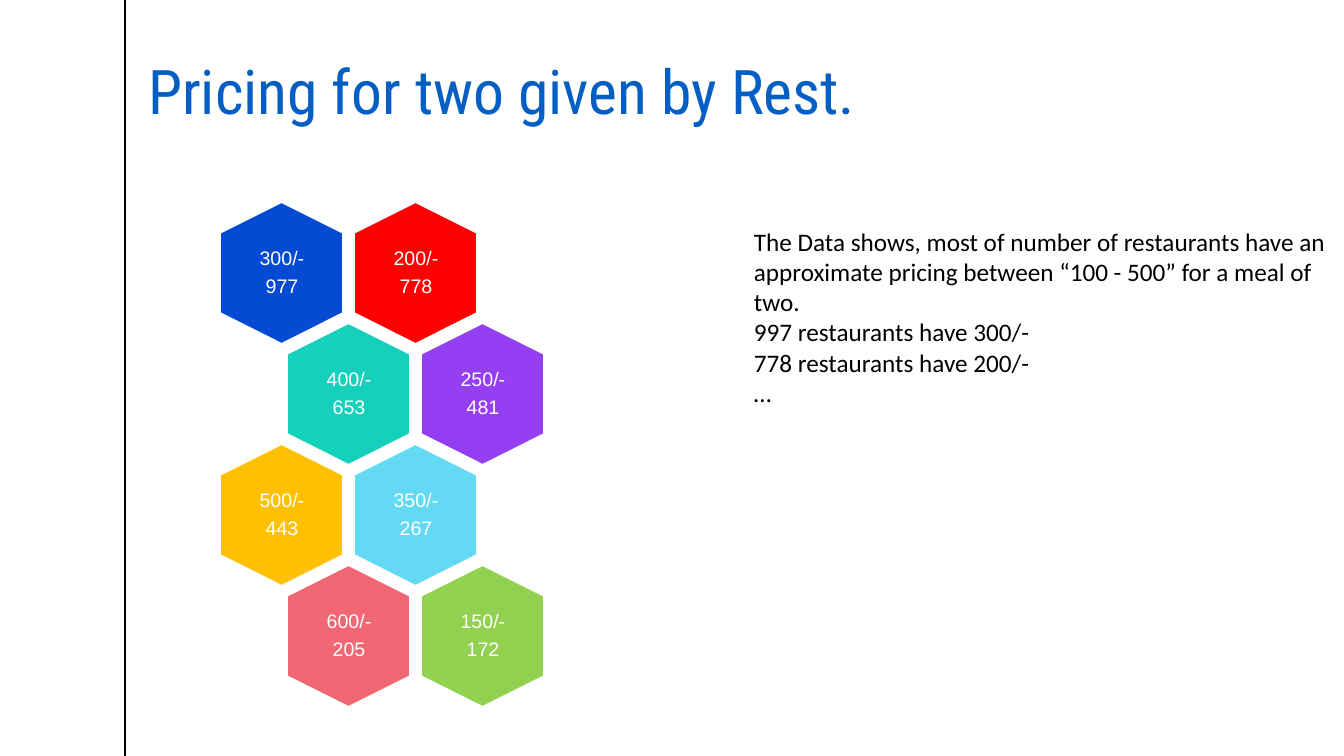
import pptx
import pptx.dml.color
import pptx.enum.shapes
import pptx.enum.text
import pptx.oxml.ns
import pptx.util
from lxml import etree

ALIGN = pptx.enum.text.PP_ALIGN
ANCHOR = pptx.enum.text.MSO_ANCHOR
AUTO_SIZE = pptx.enum.text.MSO_AUTO_SIZE

COLOURS = {
    "white": "FFFFFF", "black": "000000", "title": "045FC4",
    "blue": "054AD2", "red": "FF0000", "teal": "15D1BB", "purple": "953FF3",
    "amber": "FFC000", "sky": "64D9F4", "coral": "F16774", "green": "92D050",
}

# Price for two, number of restaurants, colour; two hexagons to a row
PRICES = [
    ("300/-", "977", "blue"), ("200/-", "778", "red"),
    ("400/-", "653", "teal"), ("250/-", "481", "purple"),
    ("500/-", "443", "amber"), ("350/-", "267", "sky"),
    ("600/-", "205", "coral"), ("150/-", "172", "green"),
]
FINDINGS = [
    "The Data shows, most of number of restaurants have an approximate "
    "pricing between “100 - 500” for a meal of two.",
    "997 restaurants have 300/-",
    "778 restaurants have 200/-",
    "…",
]

HIVE_LEFT, HIVE_TOP = 210, 211
COLUMN_PITCH, ROW_PITCH = 134, 121
HEXAGON_SIZE = (143, 124)
LABEL_INSET = (29, 13)
LABEL_SIZE = (86, 98)


def px(length):
    return round(length * 914400 / 100.8)


def rgb(name):
    return pptx.dml.color.RGBColor.from_string(COLOURS[name])


def set_attributes(target, values):
    for name, value in values.items():
        setattr(target, name, value)


class SlideBuilder:
    title_style = {"name": "Roboto Condensed", "size": pptx.util.Pt(44)}
    body_style = {"name": "Calibri", "size": pptx.util.Pt(18)}
    label_style = {"name": "Arial", "size": pptx.util.Pt(14)}
    label_spacing = {"alignment": ALIGN.CENTER, "line_spacing": 0.9,
                     "space_after": pptx.util.Pt(5)}
    label_frame = {"vertical_anchor": ANCHOR.MIDDLE, "margin_left": 0,
                   "margin_right": 0, "margin_top": 0, "margin_bottom": 0}

    def __init__(self, presentation):
        title_only = presentation.slide_layouts[5]
        self.slide = presentation.slides.add_slide(title_only)

    def fill_frame(self, frame, lines, font, colour, spacing):
        frame.text = "\n".join(lines)
        for paragraph in frame.paragraphs:
            set_attributes(paragraph, spacing)
            for run in paragraph.runs:
                set_attributes(run.font, font)
                run.font.color.rgb = rgb(colour)

    def title(self, text, left, top, width, height):
        shape = self.slide.shapes.title
        set_attributes(shape, {"left": px(left), "top": px(top),
                               "width": px(width), "height": px(height)})
        set_attributes(shape.text_frame, {
            "word_wrap": False, "auto_size": AUTO_SIZE.SHAPE_TO_FIT_TEXT,
            "vertical_anchor": ANCHOR.TOP})
        self.fill_frame(shape.text_frame, [text], self.title_style, "title",
                        {"alignment": ALIGN.LEFT})

    def text(self, lines, left, top, width, height, font, colour,
             spacing, frame_format):
        box = self.slide.shapes.add_textbox(
            px(left), px(top), px(width), px(height))
        box.text_frame.word_wrap = True
        set_attributes(box.text_frame, frame_format)
        self.fill_frame(box.text_frame, lines, font, colour, spacing)

    def rule(self, x, top, bottom):
        line = self.slide.shapes.add_connector(
            pptx.enum.shapes.MSO_CONNECTOR.STRAIGHT,
            px(x), px(top), px(x), px(bottom))
        line.line.color.rgb = rgb("black")
        line.line.width = pptx.util.Pt(1)
        etree.SubElement(line._element.spPr,
                         pptx.oxml.ns.qn("a:effectLst"))

    def hexagon(self, left, top, colour, lines):
        """Draw a point-up hexagon with an upright label over it."""
        width, height = HEXAGON_SIZE
        shape = self.slide.shapes.add_shape(
            pptx.enum.shapes.MSO_SHAPE.HEXAGON,
            px(left), px(top), px(width), px(height))
        shape.rotation = 90
        shape.adjustments[0] = 0.25
        shape.shadow.inherit = False
        shape.fill.solid()
        shape.fill.fore_color.rgb = rgb(colour)
        shape.line.color.rgb = rgb("white")
        shape.line.width = pptx.util.Pt(2)
        self.text(lines, left + LABEL_INSET[0], top + LABEL_INSET[1],
                  *LABEL_SIZE, self.label_style, "white",
                  self.label_spacing, self.label_frame)


def main():
    presentation = pptx.Presentation()
    presentation.slide_width = px(1344)
    presentation.slide_height = px(756)

    builder = SlideBuilder(presentation)
    builder.rule(125, 0, 756)
    builder.title("Pricing for two given by Rest.", 138, 48, 730, 85)
    for index, (price, count, colour) in enumerate(PRICES):
        row, column = divmod(index, 2)
        stagger = row % 2 * COLUMN_PITCH // 2
        builder.hexagon(HIVE_LEFT + column * COLUMN_PITCH + stagger,
                        HIVE_TOP + row * ROW_PITCH, colour, [price, count])
    builder.text(FINDINGS, 744, 221, 601, 194, builder.body_style, "black",
                 {}, {"auto_size": AUTO_SIZE.SHAPE_TO_FIT_TEXT})
    presentation.save("out.pptx")


if __name__ == "__main__":
    main()
